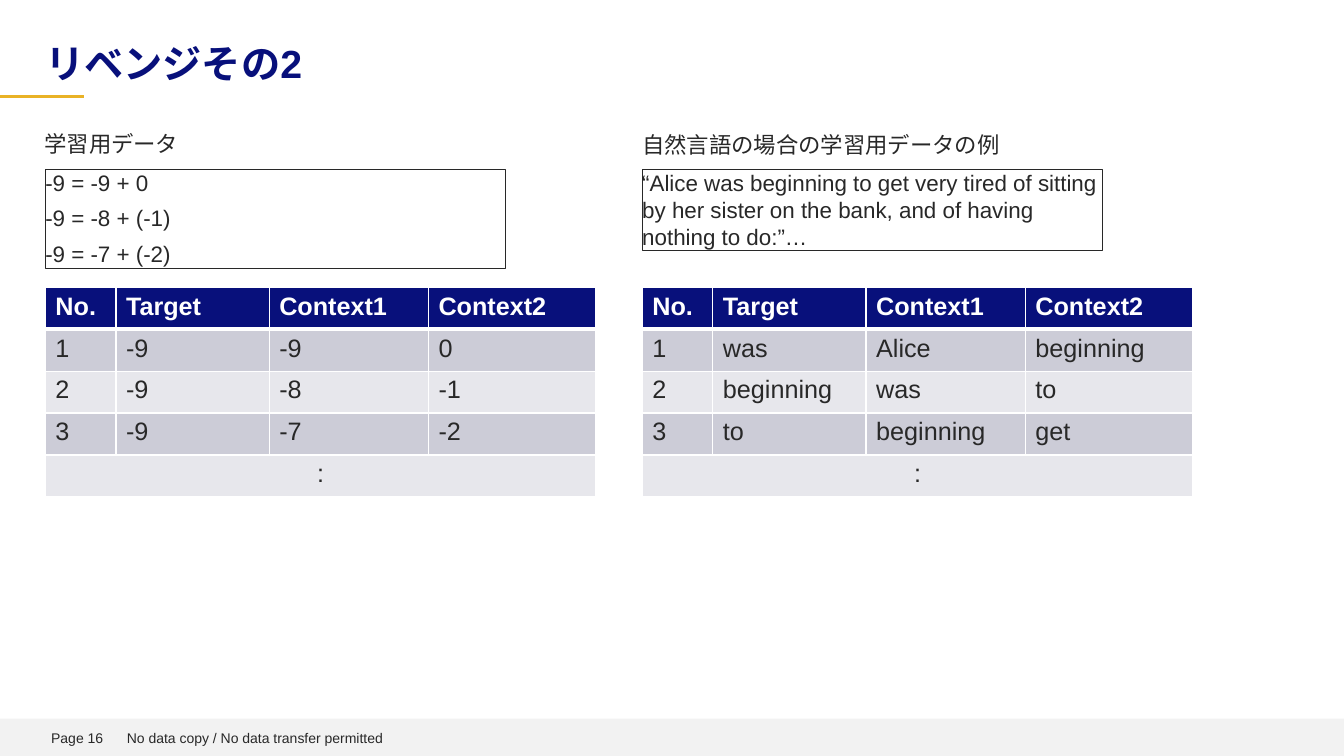
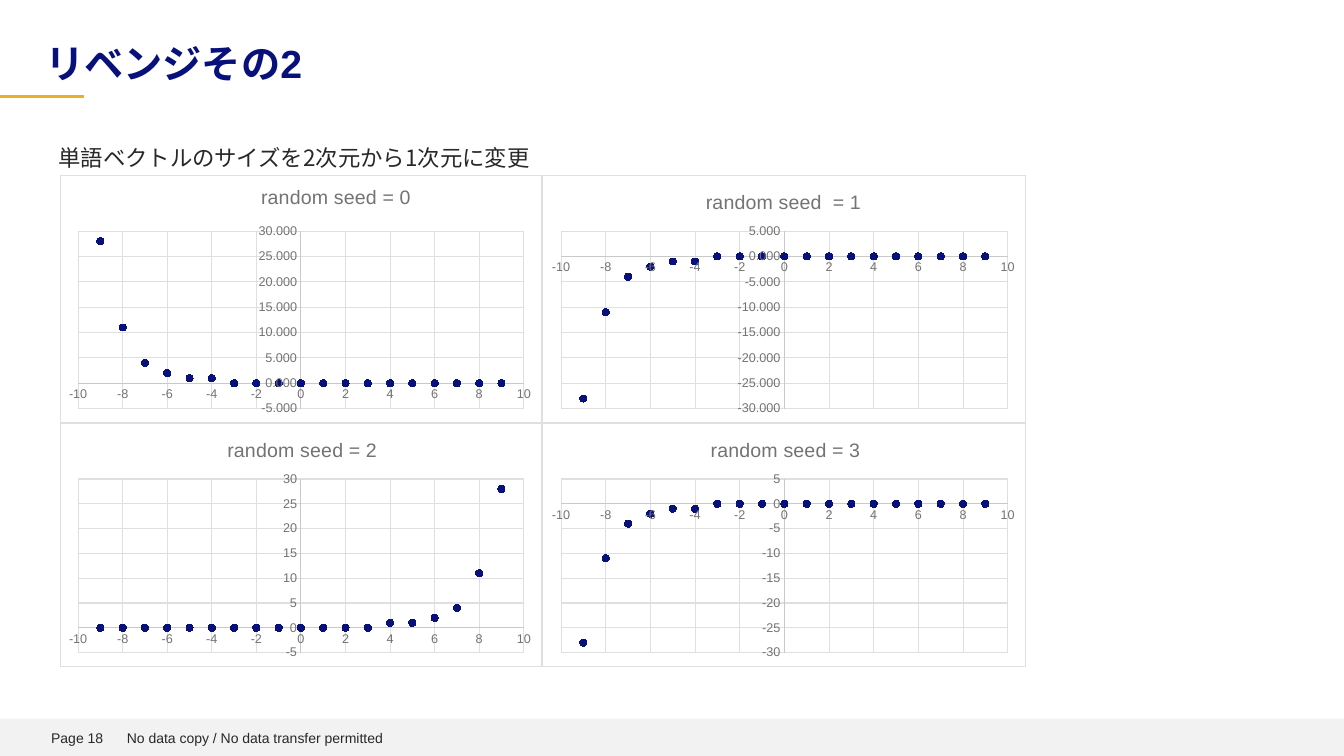
from lxml import etree
from pptx import Presentation
from pptx import util as u
from pptx.chart.data import XyChartData
from pptx.dml.color import RGBColor
from pptx.enum import chart as charts, shapes, text
from pptx.oxml import parse_xml
from pptx.oxml.ns import nsdecls, qn

NAVY, GOLD, INK, WHITE = "08107B", "E9B226", "282828", "FFFFFF"
BAND, GRID, AXIS, MUTED = "F2F2F2", "DFDFDF", "C9C9C9", "737373"
STRIPES = ["CCCCD7", "E7E7EC"]
LATIN, JAPANESE = "Arial", "Noto Sans CJK JP"
TITLE = "リベンジその2"
COLUMNS = [0.7, 1.52, 1.58, 1.66]
HEADINGS = ["No.", "Target", "Context1", "Context2"]
TABLE_HEIGHT = 2.08


def color(value):
    return RGBColor.from_string(value)


def place(left, top, width, height):
    return [u.Inches(length) for length in (left, top, width, height)]


def set_line(line, value, width=0.75):
    line.color.rgb = color(value)
    line.width = u.Pt(width)


def write(frame, lines, size=16, ink=INK, bold=False, font=LATIN, align=text.PP_ALIGN.LEFT,
          anchor=text.MSO_ANCHOR.TOP, before=0, spacing=None, margin=None):
    frame.word_wrap = True
    frame.vertical_anchor = anchor
    if margin is not None:
        frame.margin_left = frame.margin_right = u.Inches(margin)
        frame.margin_top = frame.margin_bottom = u.Inches(margin)
    for index, line in enumerate(lines):
        para = frame.add_paragraph() if index else frame.paragraphs[0]
        para.alignment = align
        para.space_before = u.Pt(before)
        if spacing:
            para.line_spacing = spacing
        span = para.add_run()
        span.text = line
        span.font.size = u.Pt(size)
        span.font.bold = bold
        span.font.name = font
        span.font.color.rgb = color(ink)
        east_asian = etree.SubElement(span.font._element, qn("a:ea"))
        east_asian.set("typeface", JAPANESE)


def add_text(page, left, top, width, height, lines, **style):
    box = page.shapes.add_textbox(*place(left, top, width, height))
    write(box.text_frame, lines, **style)


def add_label(page, left, top, width, label):
    add_text(page, left, top, width, 0.38, [label], font=JAPANESE, margin=0)


def add_rectangle(page, left, top, width, height):
    box = page.shapes.add_shape(shapes.MSO_SHAPE.RECTANGLE, *place(left, top, width, height))
    box.shadow.inherit = False
    return box


def add_framed_text(page, left, top, width, height, lines):
    box = add_rectangle(page, left, top, width, height)
    box.fill.background()
    set_line(box.line, INK)
    write(box.text_frame, lines, before=6, margin=0)


def add_page(deck, number):
    page = deck.slides.add_slide(deck.slide_layouts[5])
    rule = page.shapes.add_connector(shapes.MSO_CONNECTOR.STRAIGHT, *place(0, 0.96, 0.83, 0.96))
    set_line(rule.line, GOLD, 2)
    etree.SubElement(rule._element.spPr, qn("a:effectLst"))
    band = add_rectangle(page, 0, 7.13, 13.33, 0.37)
    band.fill.solid()
    band.fill.fore_color.rgb = color(BAND)
    band.line.fill.background()
    footers = [(0.41, 0.83, f"Page {number}"),
               (1.16, 4.41, "No data copy / No data transfer permitted")]
    for left, width, label in footers:
        add_text(page, left, 7.17, width, 0.31, [label], size=10, anchor=text.MSO_ANCHOR.MIDDLE)
    title = page.shapes.title
    title.left, title.top, title.width, title.height = place(0.45, 0.44, 12.44, 0.42)
    write(title.text_frame, [TITLE], size=28, ink=NAVY, bold=True,
          anchor=text.MSO_ANCHOR.BOTTOM, spacing=0.9, margin=0)
    title.text_frame.auto_size = text.MSO_AUTO_SIZE.SHAPE_TO_FIT_TEXT
    return page


def format_cell(cell, fill, bottom=1):
    properties = cell._tc.get_or_add_tcPr()
    for side, width in (("L", 1), ("R", 1), ("T", 1), ("B", bottom)):
        border = etree.SubElement(properties, qn(f"a:ln{side}"), w=str(u.Pt(width)))
        solid = etree.SubElement(border, qn("a:solidFill"))
        etree.SubElement(solid, qn("a:srgbClr"), val=WHITE)
    cell.fill.solid()
    cell.fill.fore_color.rgb = color(fill)


def add_data_table(page, left, top, records):
    rows = [HEADINGS, *records, [":"]]
    frame = page.shapes.add_table(len(rows), len(COLUMNS),
                                  *place(left, top, sum(COLUMNS), TABLE_HEIGHT))
    table = frame.table
    for column, width in zip(table.columns, COLUMNS):
        column.width = u.Inches(width)
    for index, values in enumerate(rows):
        header = index == 0
        fill = NAVY if header else STRIPES[(index - 1) % 2]
        table.rows[index].height = u.Inches(TABLE_HEIGHT / len(rows))
        for cell in table.rows[index].cells:
            format_cell(cell, fill, bottom=3 if header else 1)
        merged = len(values) == 1
        if merged:
            table.cell(index, 0).merge(table.cell(index, len(COLUMNS) - 1))
        for column, value in enumerate(values):
            write(table.cell(index, column).text_frame, [value], size=18, bold=header,
                  ink=WHITE if header else INK,
                  align=text.PP_ALIGN.CENTER if merged else text.PP_ALIGN.LEFT)


def set_layout(holder, index, **settings):
    existing = holder.find(qn("c:layout"))
    if existing is not None:
        holder.remove(existing)
    layout = etree.Element(qn("c:layout"))
    manual = etree.SubElement(layout, qn("c:manualLayout"))
    for name, value in settings.items():
        etree.SubElement(manual, qn(f"c:{name}"), val=str(value))
    holder.insert(index, layout)


def format_axis(axis, low, high, step, number_format):
    axis.minimum_scale, axis.maximum_scale, axis.major_unit = low, high, step
    axis.major_tick_mark = axis.minor_tick_mark = charts.XL_TICK_MARK.NONE
    axis.has_major_gridlines = True
    set_line(axis.major_gridlines.format.line, GRID)
    set_line(axis.format.line, AXIS)
    labels = axis.tick_labels
    labels.number_format = number_format
    labels.number_format_is_linked = False
    labels.font.size = u.Pt(9)
    labels.font.name = LATIN
    labels.font.color.rgb = color(MUTED)


def add_scatter(page, left, top, width, height, title, values, low, high,
                number_format="General", title_at=(0.34, 0.04)):
    data = XyChartData()
    points = data.add_series("Series 1")
    for x, y in zip(range(-9, 10), values):
        points.add_data_point(x, y)
    frame = page.shapes.add_chart(charts.XL_CHART_TYPE.XY_SCATTER,
                                  *place(left, top, width, height), data)
    chart = frame.chart
    chart.has_legend = False
    chart.font.size = u.Pt(10)
    chart.font.name = LATIN
    chart.font.color.rgb = color(INK)
    chart.element.find(qn("c:chart")).addnext(parse_xml(
        f'<c:spPr {nsdecls("c", "a")}><a:solidFill><a:srgbClr val="{WHITE}"/></a:solidFill>'
        f'<a:ln w="{u.Pt(0.75)}"><a:solidFill><a:srgbClr val="{GRID}"/></a:solidFill></a:ln>'
        '</c:spPr>'))
    chart.has_title = True
    write(chart.chart_title.text_frame, [title], size=14, ink=MUTED, align=text.PP_ALIGN.CENTER)
    set_layout(chart.element.find(".//" + qn("c:title")), 1,
               xMode="edge", yMode="edge", x=title_at[0], y=title_at[1])
    set_layout(chart.element.find(".//" + qn("c:plotArea")), 0, layoutTarget="inner",
               xMode="edge", yMode="edge", x=0.18 / width, y=0.55 / height,
               w=1 - 0.36 / width, h=1 - 0.69 / height)
    format_axis(chart.category_axis, -10, 10, 2, "General")
    format_axis(chart.value_axis, low, high, 5, number_format)
    plot = chart.plots[0]
    plot.vary_by_categories = False
    series = plot.series[0]
    series.format.line.fill.background()
    series.marker.style = charts.XL_MARKER_STYLE.CIRCLE
    series.marker.size = 5
    series.marker.format.fill.solid()
    series.marker.format.fill.fore_color.rgb = color(NAVY)
    set_line(series.marker.format.line, NAVY)


def build_training_data(deck):
    page = add_page(deck, 16)
    add_label(page, 0.44, 1.29, 1.82, "学習用データ")
    add_label(page, 6.37, 1.3, 4.06, "自然言語の場合の学習用データの例")
    add_framed_text(page, 0.45, 1.68, 4.56, 0.98,
                    ["-9 = -9 + 0", "-9 = -8 + (-1)", "-9 = -7 + (-2)"])
    add_framed_text(page, 6.37, 1.68, 4.57, 0.81,
                    ["“Alice was beginning to get very tired of sitting by her sister "
                     "on the bank, and of having nothing to do:”…"])
    add_data_table(page, 0.45, 2.85, [["1", "-9", "-9", "0"],
                                      ["2", "-9", "-8", "-1"],
                                      ["3", "-9", "-7", "-2"]])
    add_data_table(page, 6.37, 2.85, [["1", "was", "Alice", "beginning"],
                                      ["2", "beginning", "was", "to"],
                                      ["3", "to", "beginning", "get"]])


def build_seed_comparison(deck):
    page = add_page(deck, 18)
    add_label(page, 0.58, 1.43, 12.44, "単語ベクトルのサイズを2次元から1次元に変更")
    falling = [28, 11, 4, 2, 1, 1] + [0] * 13
    rising = [-value for value in falling]
    climbing = falling[::-1]
    left_column, right_column = (0.59, 4.79), (5.38, 4.8)
    top_row, bottom_row = (1.74, 2.46), (4.2, 2.42)
    seeds = [
        (left_column, top_row, "random seed = 0", falling, -5, 30,
         {"number_format": "0.000", "title_at": (0.41, 0.02)}),
        (right_column, top_row, "random seed  = 1", rising, -30, 5,
         {"number_format": "0.000", "title_at": (0.33, 0.04)}),
        (left_column, bottom_row, "random seed = 2", climbing, -5, 30, {}),
        (right_column, bottom_row, "random seed = 3", rising, -30, 5, {}),
    ]
    for (left, width), (top, height), title, values, low, high, options in seeds:
        add_scatter(page, left, top, width, height, title, values, low, high, **options)


def main():
    deck = Presentation()
    deck.slide_width, deck.slide_height = u.Inches(13.33), u.Inches(7.5)
    build_training_data(deck)
    build_seed_comparison(deck)
    deck.save("out.pptx")


if __name__ == "__main__":
    main()
